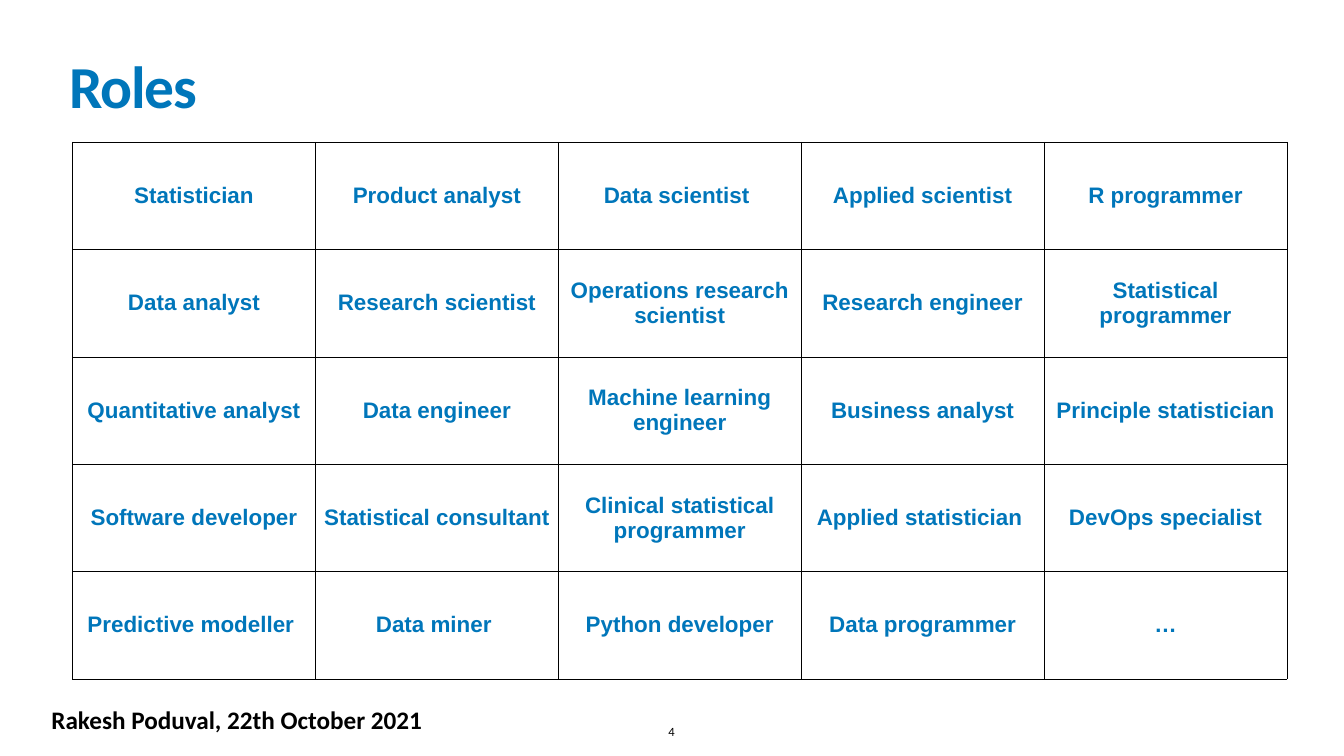
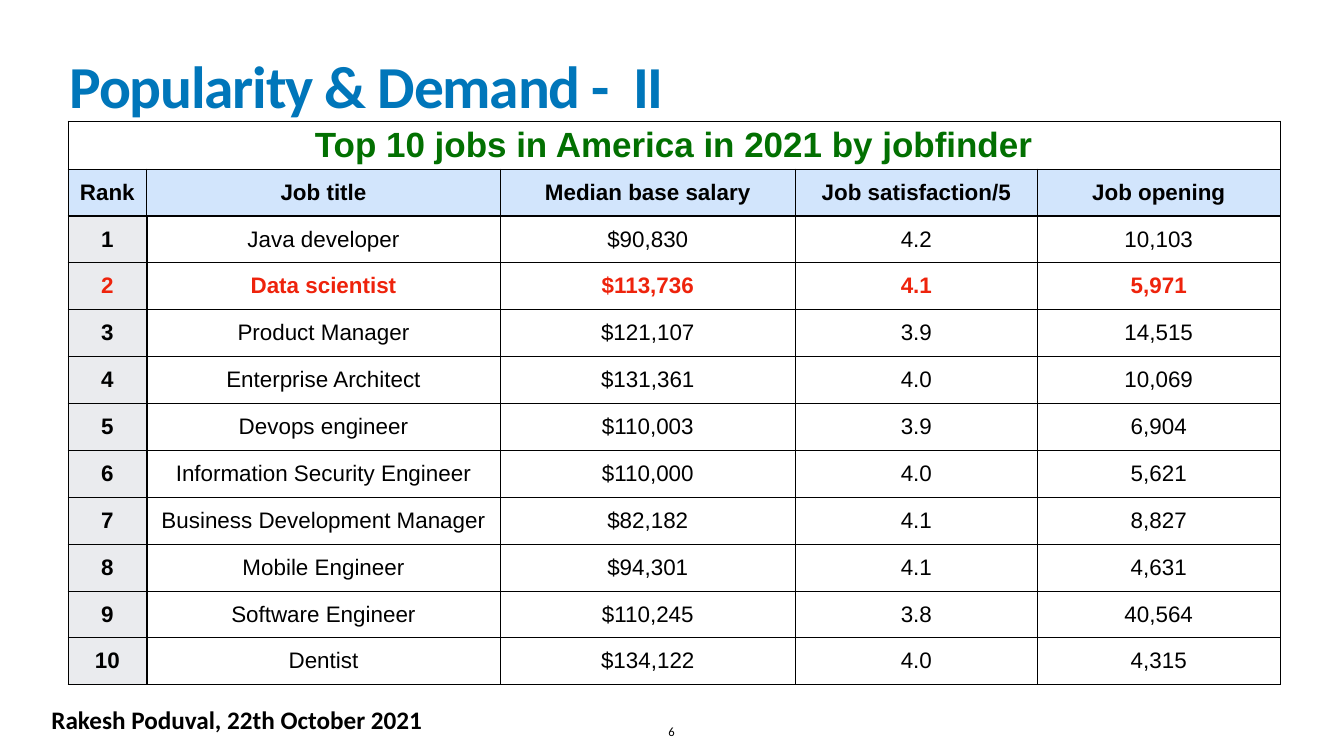
import dataclasses
import typing

import lxml.etree
import pptx
import pptx.dml.color
import pptx.enum.text
import pptx.oxml.ns
import pptx.slide
import pptx.table
import pptx.text.text
import pptx.util
from pptx.util import Inches

BLUE = "0076BA"
BLACK = "000000"
GREEN = "027001"
RED = "EE230C"
HEADER_BLUE = "9FC8F9"
RANK_GREY = "EAEBEE"

HEADING_FONT = "Calibri"
TABLE_FONT = "Arial"
FOOTER = "Rakesh Poduval, 22th October 2021"
INSET = 0.06
TITLE_ONLY = 5
HAIRLINE, HEAVY = 1, 3

ROLES = [
    ["Statistician", "Product analyst", "Data scientist ", "Applied scientist", "R programmer"],
    ["Data analyst", "Research scientist", "Operations research scientist",
     "Research engineer", "Statistical programmer"],
    ["Quantitative analyst", "Data engineer", "Machine learning engineer",
     "Business analyst", "Principle statistician"],
    ["Software developer", "Statistical consultant", "Clinical statistical programmer",
     "Applied statistician ", "DevOps specialist"],
    ["Predictive modeller ", "Data miner ", "Python developer", "Data programmer", "…"],
]

JOBS_HEADING = "Top 10 jobs in America in 2021 by jobfinder"
JOBS_HEADER = ["Rank", "Job title", "Median base salary", "Job satisfaction/5", "Job opening"]
JOBS = [
    ["Java developer", "$90,830", "4.2", "10,103"],
    ["Data scientist", "$113,736", "4.1", "5,971"],
    ["Product Manager", "$121,107", "3.9", "14,515"],
    ["Enterprise Architect", "$131,361", "4.0", "10,069"],
    ["Devops engineer", "$110,003", "3.9", "6,904"],
    ["Information Security Engineer", "$110,000", "4.0", "5,621"],
    ["Business Development Manager", "$82,182", "4.1", "8,827"],
    ["Mobile Engineer", "$94,301", "4.1", "4,631"],
    ["Software Engineer", "$110,245", "3.8", "40,564"],
    ["Dentist", "$134,122", "4.0", "4,315"],
]
HIGHLIGHTED_JOB = "Data scientist"


@dataclasses.dataclass(frozen=True)
class TextStyle:
    size: float
    color: str = BLACK
    bold: bool = False
    font: str = HEADING_FONT
    align: pptx.enum.text.PP_ALIGN = pptx.enum.text.PP_ALIGN.LEFT


@dataclasses.dataclass(frozen=True)
class CellStyle:
    text: TextStyle
    fill: str = ""
    opacity: int = 100
    heavy_edges: str = ""


@dataclasses.dataclass(frozen=True)
class Grid:
    left: float
    top: float
    column_widths: list[float]
    row_height: float
    rows: list[list[str]]
    style_at: typing.Callable[[int, int], CellStyle]


TITLE_STYLE = TextStyle(85, BLUE, True)
FOOTER_STYLE = TextStyle(36, bold=True)
NUMBER_STYLE = TextStyle(18, align=pptx.enum.text.PP_ALIGN.CENTER)


def table_text(size: float = 32, color: str = BLACK, bold: bool = True) -> TextStyle:
    return TextStyle(size, color, bold, TABLE_FONT, pptx.enum.text.PP_ALIGN.CENTER)


def rgb(color: str) -> pptx.dml.color.RGBColor:
    return pptx.dml.color.RGBColor.from_string(color)


def write(frame: pptx.text.text.TextFrame, text: str, style: TextStyle) -> None:
    frame.text = text
    paragraph = frame.paragraphs[0]
    paragraph.alignment = style.align
    paragraph.font.name = style.font
    paragraph.font.size = pptx.util.Pt(style.size)
    paragraph.font.bold = style.bold
    paragraph.font.color.rgb = rgb(style.color)


def set_insets(holder: typing.Any, inset: float = INSET) -> None:
    holder.margin_left = holder.margin_right = Inches(inset)
    holder.margin_top = holder.margin_bottom = Inches(inset)


def add_title(slide: pptx.slide.Slide, text: str) -> None:
    title = slide.shapes.title
    title.left, title.top = Inches(1.32), Inches(1.18)
    title.width, title.height = Inches(24.03), Inches(1.57)
    frame = title.text_frame
    set_insets(frame)
    frame.vertical_anchor = pptx.enum.text.MSO_ANCHOR.TOP
    frame.auto_size = pptx.enum.text.MSO_AUTO_SIZE.NONE
    write(frame, text, TITLE_STYLE)
    heading = frame.paragraphs[0]
    heading.line_spacing = 0.8
    heading._p.get_or_add_pPr().get_or_add_defRPr().set("spc", "-170")


def add_footer(slide: pptx.slide.Slide, number: int) -> None:
    page = slide.shapes.add_textbox(Inches(13.2), Inches(14.34), Inches(0.25), Inches(0.38))
    set_insets(page.text_frame)
    page.text_frame.word_wrap = False
    page.text_frame.auto_size = pptx.enum.text.MSO_AUTO_SIZE.SHAPE_TO_FIT_TEXT
    page.text_frame.vertical_anchor = pptx.enum.text.MSO_ANCHOR.BOTTOM
    write(page.text_frame, str(number), NUMBER_STYLE)

    author = slide.shapes.add_textbox(Inches(0.97), Inches(13.93), Inches(24.03), Inches(0.7))
    set_insets(author.text_frame, 0.05)
    author.text_frame.word_wrap = True
    write(author.text_frame, FOOTER, FOOTER_STYLE)


def fill_cell(cell: pptx.table._Cell, style: CellStyle) -> None:
    if not style.fill:
        cell.fill.background()
        return
    cell.fill.solid()
    cell.fill.fore_color.rgb = rgb(style.fill)
    if style.opacity < 100:
        tint = cell._tc.tcPr.find(".//" + pptx.oxml.ns.qn("a:srgbClr"))
        alpha = lxml.etree.SubElement(tint, pptx.oxml.ns.qn("a:alpha"))
        alpha.set("val", str(style.opacity * 1000))


def border_cell(cell: pptx.table._Cell, heavy_edges: str) -> None:
    properties = cell._tc.get_or_add_tcPr()
    for position, edge in enumerate("LRTB"):
        points = HEAVY if edge in heavy_edges else HAIRLINE
        line = properties.makeelement(
            pptx.oxml.ns.qn(f"a:ln{edge}"), {"w": str(pptx.util.Pt(points))})
        solid = lxml.etree.SubElement(line, pptx.oxml.ns.qn("a:solidFill"))
        lxml.etree.SubElement(solid, pptx.oxml.ns.qn("a:srgbClr")).set("val", BLACK)
        properties.insert(position, line)


def add_grid(slide: pptx.slide.Slide, grid: Grid) -> pptx.table.Table:
    table = slide.shapes.add_table(
        len(grid.rows), len(grid.column_widths), Inches(grid.left), Inches(grid.top),
        Inches(sum(grid.column_widths)), Inches(grid.row_height * len(grid.rows))).table
    table.first_row = table.horz_banding = False
    for column, width in zip(table.columns, grid.column_widths):
        column.width = Inches(width)
    for row_index, texts in enumerate(grid.rows):
        table.rows[row_index].height = Inches(grid.row_height)
        for column_index in range(len(grid.column_widths)):
            cell = table.cell(row_index, column_index)
            style = grid.style_at(row_index, column_index)
            set_insets(cell)
            cell.vertical_anchor = pptx.enum.text.MSO_ANCHOR.MIDDLE
            fill_cell(cell, style)
            border_cell(cell, style.heavy_edges)
            if column_index < len(texts):
                write(cell.text_frame, texts[column_index], style.text)
    return table


def role_style(row: int, column: int) -> CellStyle:
    return CellStyle(table_text(color=BLUE))


def job_style(row: int, column: int) -> CellStyle:
    if row == 0:
        return CellStyle(table_text(50, GREEN))
    if row == 1:
        return CellStyle(table_text(), HEADER_BLUE, 46, "B")
    highlighted = JOBS[row - 2][0] == HIGHLIGHTED_JOB
    color = RED if highlighted else BLACK
    top_edge = "T" if row == 2 else ""
    if column == 0:
        return CellStyle(table_text(color=color), RANK_GREY, heavy_edges=top_edge + "R")
    return CellStyle(table_text(color=color, bold=highlighted), heavy_edges=top_edge)


def add_slide(deck: typing.Any, title: str, number: int) -> pptx.slide.Slide:
    slide = deck.slides.add_slide(deck.slide_layouts[TITLE_ONLY])
    add_title(slide, title)
    add_footer(slide, number)
    return slide


def main() -> None:
    deck = pptx.Presentation()
    deck.slide_width, deck.slide_height = Inches(26.67), Inches(15)

    roles_slide = add_slide(deck, "Roles", 4)
    add_grid(roles_slide, Grid(1.44, 2.82, [4.82] * 5, 2.13, ROLES, role_style))

    jobs_slide = add_slide(deck, "Popularity & Demand -  II", 6)
    ranked_jobs = [[str(rank), *job] for rank, job in enumerate(JOBS, start=1)]
    jobs_table = add_grid(jobs_slide, Grid(
        1.35, 2.4, [1.56, 7.02, 5.85, 4.81, 4.81], 0.93,
        [[JOBS_HEADING], JOBS_HEADER, *ranked_jobs], job_style))
    jobs_table.cell(0, 0).merge(jobs_table.cell(0, len(JOBS_HEADER) - 1))

    deck.save("out.pptx")


if __name__ == "__main__":
    main()
